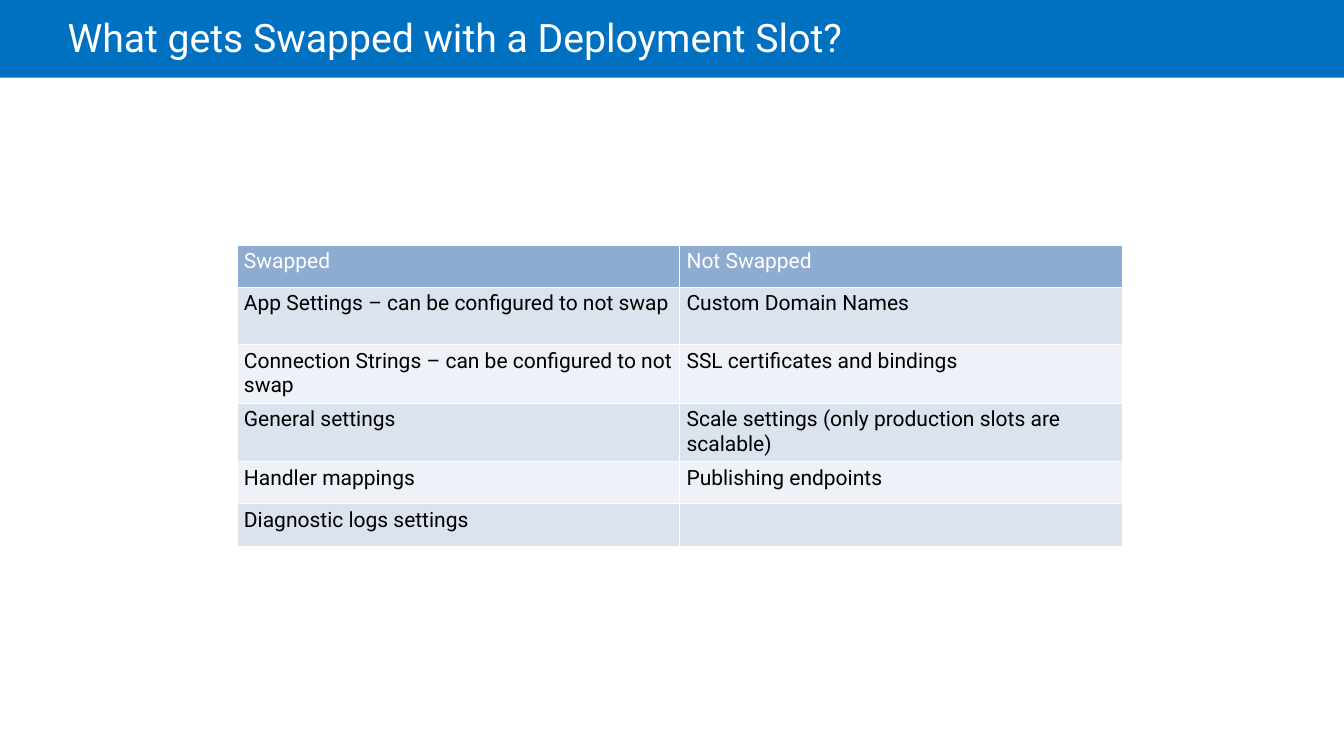
from lxml import etree
from pptx import Presentation
from pptx.dml.color import RGBColor as Rgb
from pptx.enum.shapes import MSO_SHAPE as Shape
from pptx.enum.text import MSO_ANCHOR as Anchor
from pptx.oxml.ns import qn
from pptx.util import Inches, Pt

COLORS = {"banner": "0070C0", "header": "8DACD0", "odd": "DBE3EE",
          "even": "EEF1F7", "white": "FFFFFF", "text": "000000"}
FONT = "Roboto"
TITLE = "What gets Swapped with a Deployment Slot?"
ROWS = [
    ("Swapped", "Not Swapped"),
    ("App Settings – can be configured to not swap", "Custom Domain Names"),
    ("Connection Strings – can be configured to not swap",
     "SSL certificates and bindings"),
    ("General settings", "Scale settings (only production slots are scalable)"),
    ("Handler mappings", "Publishing endpoints"),
    ("Diagnostic logs settings", ""),
]
ROW_HEIGHTS = [0.42, 0.57, 0.57, 0.57, 0.42, 0.42]


def color(name):
    return Rgb.from_string(COLORS[name])


def set_margins(target, left, top, right, bottom):
    margins = {"left": left, "top": top, "right": right, "bottom": bottom}
    for side, size in margins.items():
        setattr(target, f"margin_{side}", Inches(size))


def write(para, text, size, color_name):
    span = para.add_run()
    span.text = text
    for key, value in {"name": FONT, "size": Pt(size)}.items():
        setattr(span.font, key, value)
    span.font.color.rgb = color(color_name)


def set_borders(cell, color_name, width):
    # Border lines come before the fill in the cell properties
    props = cell._tc.get_or_add_tcPr()
    for index, tag in enumerate(("a:lnL", "a:lnR", "a:lnT", "a:lnB")):
        line = etree.Element(qn(tag), w=str(Pt(width)))
        fill = etree.SubElement(line, qn("a:solidFill"))
        etree.SubElement(fill, qn("a:srgbClr"), val=COLORS[color_name])
        props.insert(index, line)


def add_banner(page, left, top, width, height):
    # Blue bar across the slide
    bar = page.shapes.add_shape(Shape.RECTANGLE, Inches(left), Inches(top),
                                Inches(width), Inches(height))
    bar.shadow.inherit = False
    bar.fill.solid()
    bar.fill.fore_color.rgb = color("banner")
    bar.line.fill.background()

    # Title on the bar
    box = page.shapes.add_textbox(Inches(left + 0.67), Inches(top),
                                  Inches(11.34), Inches(height + 0.04))
    frame = box.text_frame
    frame.word_wrap = True
    frame.vertical_anchor = Anchor.MIDDLE
    set_margins(frame, 0, 0.05, 0.1, 0.05)
    para = frame.paragraphs[0]
    para.line_spacing = 0.85
    write(para, TITLE, 28, "white")


def add_swap_table(page, left, top, width):
    frame = page.shapes.add_table(len(ROWS), len(ROWS[0]), Inches(left), Inches(top),
                                  Inches(width), Inches(sum(ROW_HEIGHTS)))
    table = frame.table
    for column in table.columns:
        column.width = Inches(width / len(ROWS[0]))
    for row_index, (texts, height) in enumerate(zip(ROWS, ROW_HEIGHTS)):
        table.rows[row_index].height = Inches(height)
        band = "odd" if row_index % 2 else "even"
        fill_name, text_name = (band, "text") if row_index else ("header", "white")
        for column_index, text in enumerate(texts):
            cell = table.cell(row_index, column_index)
            cell.fill.solid()
            cell.fill.fore_color.rgb = color(fill_name)
            set_borders(cell, "white", 1)
            set_margins(cell, 0.07, 0.04, 0.07, 0.04)
            if text:
                write(cell.text_frame.paragraphs[0], text, 15, text_name)


def main():
    deck = Presentation()
    deck.slide_width, deck.slide_height = Inches(13.33), Inches(7.5)
    page = deck.slides.add_slide(deck.slide_layouts[6])
    add_banner(page, 0, 0, 13.33, 0.77)
    add_swap_table(page, 2.35, 2.43, 8.78)
    deck.save("out.pptx")


if __name__ == "__main__":
    main()
